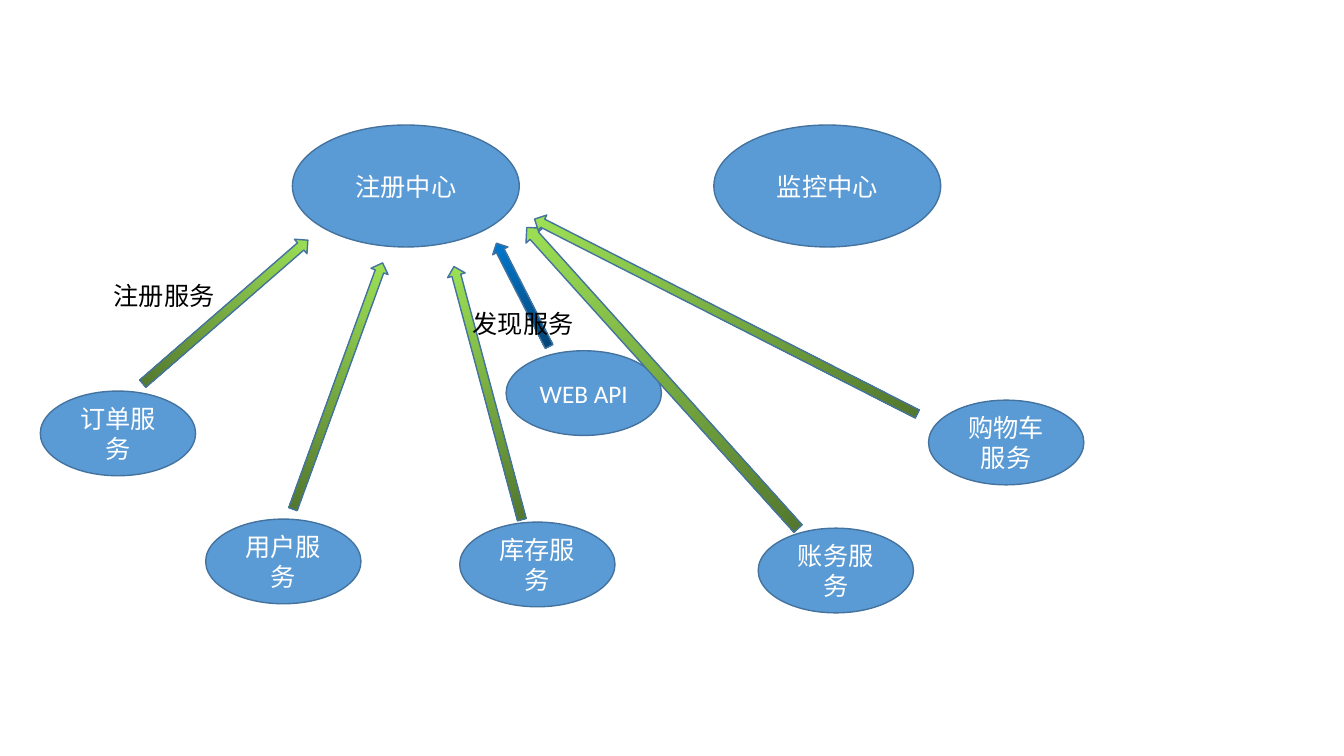
from dataclasses import dataclass

from pptx import Presentation
from pptx.dml.color import RGBColor as RGB
from pptx.enum.shapes import MSO_SHAPE as Form
from pptx.enum.text import MSO_ANCHOR as Anchor, MSO_AUTO_SIZE as Fit, PP_ALIGN as Align
from pptx.shapes.autoshape import Shape
from pptx.slide import Slide
from pptx.text.text import TextFrame
from pptx.util import Emu, Pt

PX = 9144  # EMU in one px, 100 px to the inch


@dataclass(frozen=True)
class Theme:
    font: str = "Calibri"
    size: int = 18
    rule: int = 1
    node: str = "5B9BD5"
    edge: str = "43739E"
    light: str = "FFFFFF"
    dark: str = "000000"
    green: tuple[str, str] = ("9EE256", "52762D")
    blue: tuple[str, str] = ("007BD3", "034373")


@dataclass(frozen=True)
class Box:
    left: int
    top: int
    width: int
    height: int

    def emu(self) -> tuple[Emu, ...]:
        sides = (self.left, self.top, self.width, self.height)
        return tuple(Emu(side * PX) for side in sides)


@dataclass(frozen=True)
class Node:
    text: str
    box: Box


@dataclass(frozen=True)
class Arrow:
    """An up arrow, its box taken before the turn in degrees."""
    box: Box
    turn: int
    fade: tuple[str, str]


THEME = Theme()


def center(text: str, left: int) -> Node:
    return Node(text, Box(left, 124, 225, 121))


def service(text: str, left: int, top: int) -> Node:
    return Node(text, Box(left, top, 154, 84))


NODES = (
    center("注册中心", 290),
    center("监控中心", 708),
    service("WEB API", 502, 348),
    service("购物车服务", 921, 397),
    service("账务服务", 752, 524),
    service("订单服务", 40, 388),
    service("用户服务", 204, 515),
    service("库存服务", 456, 518),
)
ARROWS = (
    Arrow(Box(214, 201, 19, 217), 49, THEME.green),
    Arrow(Box(326, 253, 18, 260), 20, THEME.green),
    Arrow(Box(475, 260, 18, 260), -15, THEME.green),
    Arrow(Box(510, 235, 17, 115), -27, THEME.blue),
    Arrow(Box(646, 174, 22, 402), -42, THEME.green),
    Arrow(Box(711, 101, 18, 426), -63, THEME.green),
)
LABELS = (
    Node("注册服务", Box(103, 273, 120, 40)),
    Node("发现服务", Box(459, 301, 120, 40)),
)


def write(frame: TextFrame, text: str, *, color: str, align: Align = Align.LEFT,
          anchor: Anchor = Anchor.TOP, wrap: bool = True) -> None:
    frame.word_wrap = wrap
    frame.vertical_anchor = anchor
    par = frame.paragraphs[0]
    par.alignment = align
    run = par.add_run()
    run.text = text
    run.font.name = THEME.font
    run.font.size = Pt(THEME.size)
    run.font.color.rgb = RGB.from_string(color)


def add_form(slide: Slide, form: Form, box: Box) -> Shape:
    """Add a preset shape with the common outline and no shadow."""
    shape = slide.shapes.add_shape(form, *box.emu())
    shape.shadow.inherit = False
    shape.line.color.rgb = RGB.from_string(THEME.edge)
    shape.line.width = Pt(THEME.rule)
    return shape


def add_node(slide: Slide, node: Node) -> None:
    shape = add_form(slide, Form.OVAL, node.box)
    shape.fill.solid()
    shape.fill.fore_color.rgb = RGB.from_string(THEME.node)
    write(shape.text_frame, node.text, color=THEME.light,
          align=Align.CENTER, anchor=Anchor.MIDDLE)


def add_arrow(slide: Slide, arrow: Arrow) -> None:
    shape = add_form(slide, Form.UP_ARROW, arrow.box)
    shape.rotation = arrow.turn
    shape.fill.gradient()
    shape.fill.gradient_angle = 270  # counted anticlockwise: head to tail
    for stop, color in zip(shape.fill.gradient_stops, arrow.fade):
        stop.color.rgb = RGB.from_string(color)


def add_label(slide: Slide, label: Node) -> None:
    frame = slide.shapes.add_textbox(*label.box.emu()).text_frame
    frame.auto_size = Fit.SHAPE_TO_FIT_TEXT
    write(frame, label.text, color=THEME.dark, wrap=False)


def main() -> None:
    deck = Presentation()
    deck.slide_width, deck.slide_height = Emu(1333 * PX), Emu(750 * PX)
    slide = deck.slides.add_slide(deck.slide_layouts[6])
    for node in NODES:
        add_node(slide, node)
    for arrow in ARROWS:
        add_arrow(slide, arrow)
    for label in LABELS:
        add_label(slide, label)
    deck.save("out.pptx")


if __name__ == "__main__":
    main()
